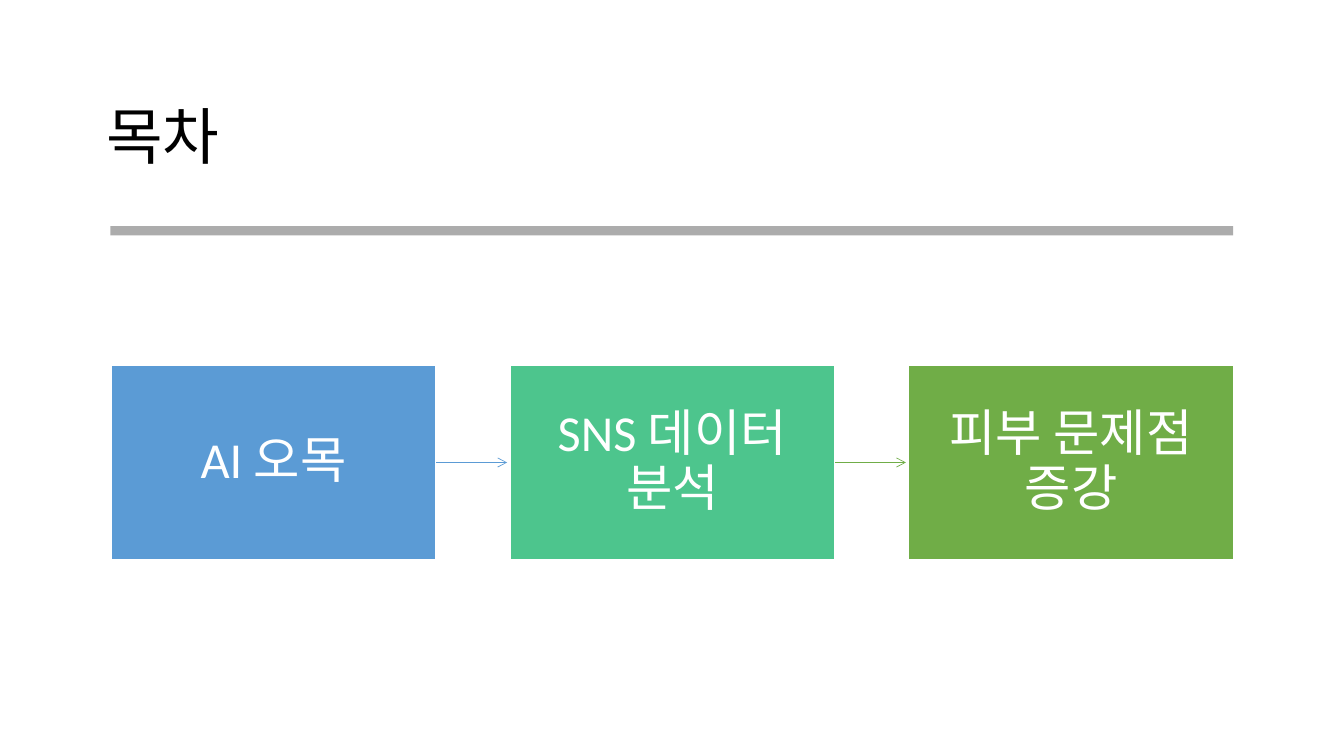
from lxml.etree import SubElement
from pptx import Presentation
from pptx.dml.color import RGBColor
from pptx.enum.shapes import MSO_CONNECTOR, MSO_SHAPE
from pptx.enum.text import MSO_ANCHOR, MSO_AUTO_SIZE, PP_ALIGN
from pptx.oxml.ns import qn
from pptx.util import Cm, Pt

BLACK = RGBColor(0x00, 0x00, 0x00)
WHITE = RGBColor(0xFF, 0xFF, 0xFF)
GRAY = RGBColor(0x80, 0x80, 0x80)
BLUE = RGBColor(0x5B, 0x9B, 0xD5)
TEAL = RGBColor(0x4D, 0xC5, 0x8D)
GREEN = RGBColor(0x70, 0xAD, 0x47)

KOREAN_FONT = "Noto Sans CJK KR"
TOPICS = [("AI 오목", BLUE), ("SNS 데이터 분석", TEAL), ("피부 문제점 증강", GREEN)]
ARROW_COLORS = [BLUE, GREEN]

TOPIC_LEFT = Cm(2.8)
TOPIC_TOP = Cm(9.2)
TOPIC_WIDTH = Cm(8.19)
TOPIC_HEIGHT = Cm(4.91)
TOPIC_STEP = Cm(10.05)
ARROW_LENGTH = Cm(1.79)


def write_text(text_frame, text, size, font_name, color, alignment):
    text_frame.text = text
    text_frame.word_wrap = True
    text_frame.auto_size = MSO_AUTO_SIZE.NONE
    text_frame.vertical_anchor = MSO_ANCHOR.MIDDLE
    paragraph = text_frame.paragraphs[0]
    paragraph.alignment = alignment
    paragraph.line_spacing = 0.9
    font = paragraph.font
    font.size = Pt(size)
    font.name = font_name
    font.color.rgb = color
    for run in paragraph.runs:
        run_properties = run._r.get_or_add_rPr()
        SubElement(run_properties, qn("a:ea"), typeface=KOREAN_FONT)


def format_title(slide, text):
    title = slide.shapes.title
    title.left, title.top = Cm(2.42), Cm(1.68)
    title.width, title.height = Cm(29.03), Cm(3.68)
    write_text(title.text_frame, text, 44, KOREAN_FONT, BLACK, PP_ALIGN.LEFT)


def add_rectangle(slide, left, top, width, height, color):
    shape = slide.shapes.add_shape(MSO_SHAPE.RECTANGLE, left, top, width, height)
    shape.shadow.inherit = False
    shape.fill.solid()
    shape.fill.fore_color.rgb = color
    shape.line.fill.background()
    return shape


def add_divider(slide):
    divider = add_rectangle(slide, Cm(2.78), Cm(5.7), Cm(28.3), Cm(0.23), GRAY)
    color = divider.fill._xPr.find(qn("a:solidFill"))[0]
    SubElement(color, qn("a:alpha"), val="65000")


def add_topic(slide, left, text, color):
    topic = add_rectangle(slide, left, TOPIC_TOP, TOPIC_WIDTH, TOPIC_HEIGHT, color)
    topic.line.color.rgb = WHITE
    topic.line.width = Pt(1)
    text_frame = topic.text_frame
    text_frame.margin_left = text_frame.margin_right = Cm(0.4)
    text_frame.margin_top = text_frame.margin_bottom = Cm(0.42)
    write_text(text_frame, text, 36, "Calibri", WHITE, PP_ALIGN.CENTER)
    return topic


def add_arrow(slide, topic, color):
    start = topic.left + topic.width
    middle = topic.top + topic.height // 2
    arrow = slide.shapes.add_connector(
        MSO_CONNECTOR.STRAIGHT, start, middle, start + ARROW_LENGTH, middle
    )
    arrow.begin_connect(topic, 3)
    arrow.line.color.rgb = color
    arrow.line.width = Pt(0.5)
    SubElement(arrow.line._get_or_add_ln(), qn("a:tailEnd"), type="arrow")
    SubElement(arrow._element.spPr, qn("a:effectLst"))


def main():
    presentation = Presentation()
    presentation.slide_width = Cm(33.87)
    presentation.slide_height = Cm(19.05)
    slide = presentation.slides.add_slide(presentation.slide_layouts[5])

    format_title(slide, "목차")
    add_divider(slide)
    topics = [
        add_topic(slide, TOPIC_LEFT + index * TOPIC_STEP, text, color)
        for index, (text, color) in enumerate(TOPICS)
    ]
    for topic, color in zip(topics, ARROW_COLORS):
        add_arrow(slide, topic, color)

    presentation.save("out.pptx")


if __name__ == "__main__":
    main()
